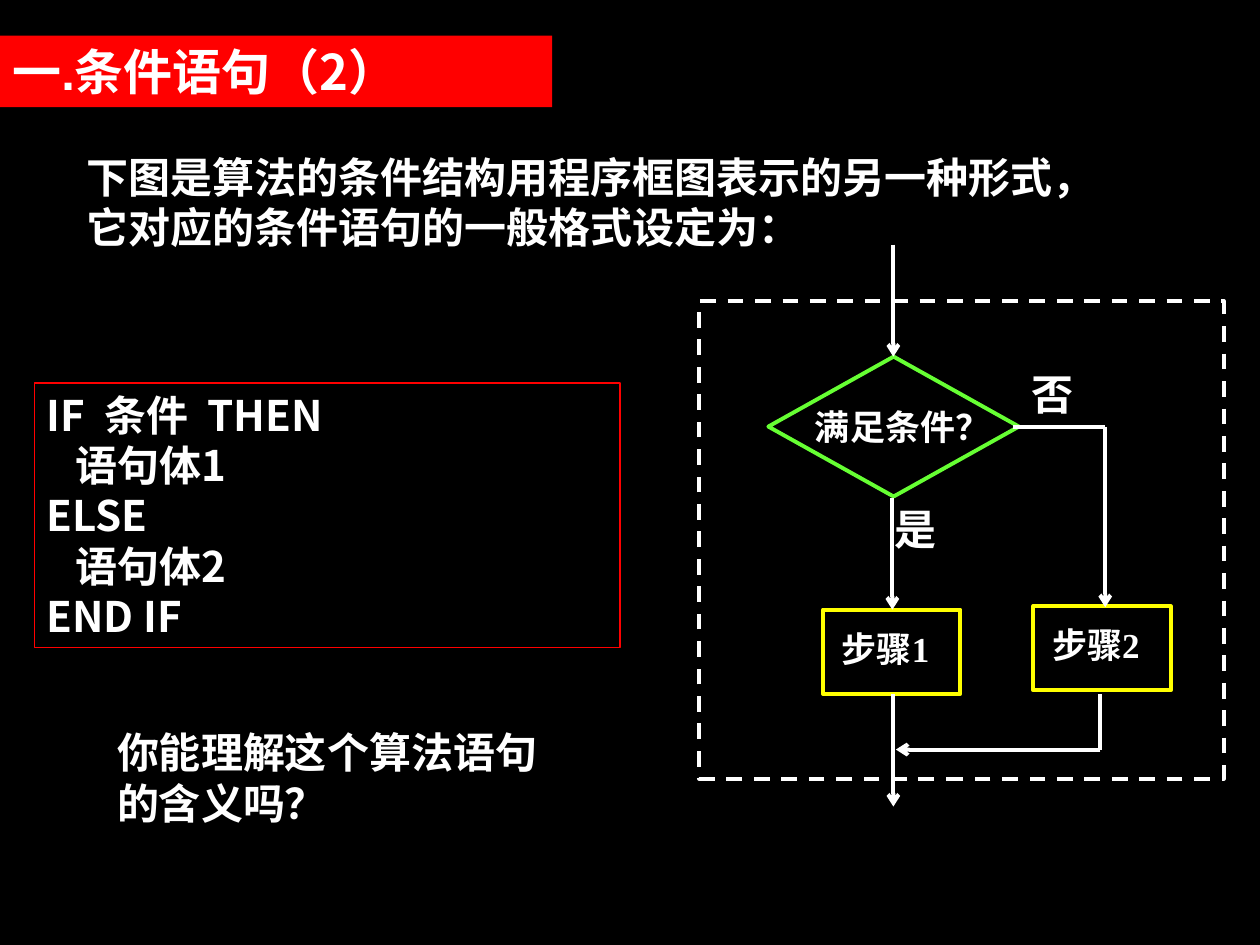
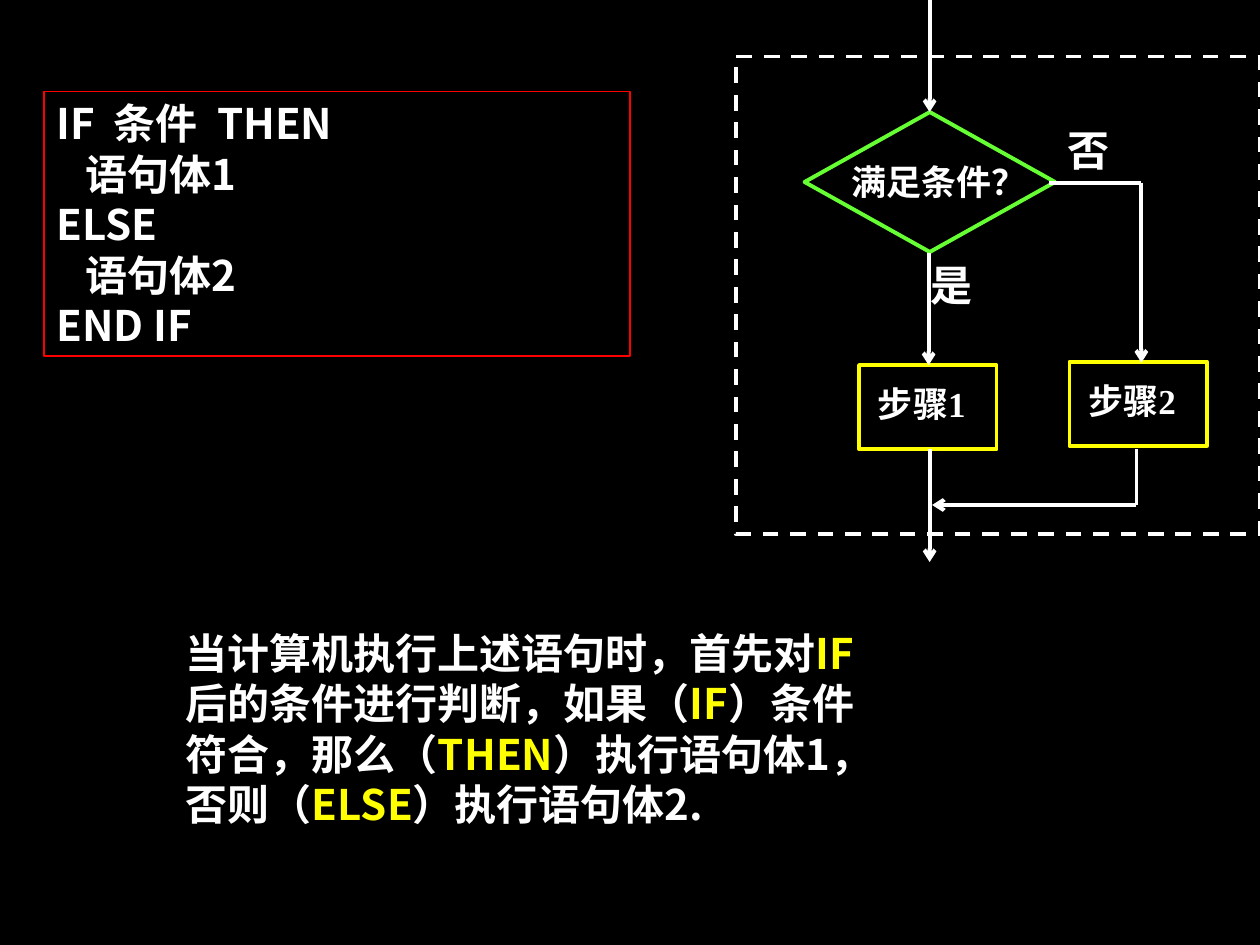
"""Build two slides on the IF-THEN-ELSE statement and its flowchart."""
from lxml import etree
from pptx import Presentation
from pptx.dml.color import RGBColor
from pptx.enum.dml import MSO_LINE
from pptx.enum.shapes import MSO_CONNECTOR, MSO_SHAPE
from pptx.enum.text import MSO_ANCHOR, MSO_AUTO_SIZE, PP_ALIGN
from pptx.oxml.ns import qn
from pptx.util import Cm, Pt

RECT, DIAMOND = MSO_SHAPE.RECTANGLE, MSO_SHAPE.DIAMOND
DASH, STRAIGHT = MSO_LINE.DASH, MSO_CONNECTOR.STRAIGHT
LEFT, JUSTIFY = PP_ALIGN.LEFT, PP_ALIGN.JUSTIFY
TOP = MSO_ANCHOR.TOP
GROW, FIXED = MSO_AUTO_SIZE.SHAPE_TO_FIT_TEXT, MSO_AUTO_SIZE.NONE
HUES = {"black": "000000", "white": "FFFFFF", "red": "FF0000",
        "green": "66FF33", "yellow": "FFFF00"}
SANS, LATIN, SERIF = "Noto Sans CJK SC", "Arial", "Times New Roman"
CODE = ["IF  条件  THEN", "   语句体1", "ELSE", "   语句体2", "END IF"]


def tint(name):
    return RGBColor.from_string(HUES[name])


def put(para, words, size=24, font=SANS, hue="white"):
    run = para.add_run()
    run.text = words
    run.font.size, run.font.bold, run.font.name = Pt(size), True, font
    run.font.color.rgb = tint(hue)
    east = etree.SubElement(run.font._element, qn("a:ea"))
    east.set("typeface", SANS)


class Deck:
    def __init__(self):
        self.show = Presentation()
        self.show.slide_width, self.show.slide_height = Cm(25.4), Cm(19.05)
        self.slide = None

    def page(self):
        self.slide = self.show.slides.add_slide(self.show.slide_layouts[6])
        self.slide.background.fill.solid()
        self.slide.background.fill.fore_color.rgb = tint("black")

    def label(self, shape, lines, align=LEFT, fit=GROW, accent=None, **form):
        frame = shape.text_frame
        frame.word_wrap, frame.auto_size = True, fit
        frame.vertical_anchor = TOP
        for i, line in enumerate(lines):
            para = frame.add_paragraph() if i else frame.paragraphs[0]
            para.alignment = align
            for j, part in enumerate(line.split("|")):
                put(para, part, **{**form, **(accent or {} if j % 2 else {})})

    def shape(self, kind, box, edge=None, fill=None, width=2.25, dash=None):
        item = self.slide.shapes.add_shape(kind, *map(Cm, box))
        item.shadow.inherit = False
        if fill:
            item.fill.solid()
            item.fill.fore_color.rgb = tint(fill)
        else:
            item.fill.background()
        if edge:
            item.line.color.rgb = tint(edge)
            item.line.width = Pt(width)
            item.line.dash_style = dash
        else:
            item.line.fill.background()
        return item

    def text(self, box, lines, **form):
        self.label(self.slide.shapes.add_textbox(*map(Cm, box)), lines, **form)

    def line(self, ends, arrow=True):
        item = self.slide.shapes.add_connector(STRAIGHT, *map(Cm, ends))
        item.line.color.rgb = tint("white")
        item.line.width = Pt(2.25)
        props = item._element.spPr
        if arrow:
            tip = etree.SubElement(props.find(qn("a:ln")), qn("a:tailEnd"))
            tip.set("type", "arrow")
        etree.SubElement(props, qn("a:effectLst"))

    def code(self, x, y):
        box = self.shape(RECT, (x, y, 11.81, 5.33), edge="red", width=0.75)
        self.label(box, CODE)

    def chart(self, x, y):
        self.shape(DIAMOND, (x + 1.39, y + 1.12, 5.05, 2.82), edge="green")
        labels = [("满足条件？", 2.08, 1.98, 4.8, 20),
                  ("是", 3.68, 3.96, 1.37, 24), ("否", 6.45, 1.24, 1.37, 24)]
        for name, left, top in (("步骤1", 2.49, 6.22), ("步骤2", 6.73, 6.15)):
            self.shape(RECT, (x + left, y + top, 2.77, 1.7), edge="yellow")
            labels.append((name, left + 0.13, top + 0.23, 2.77, 20))
        for words, left, top, wide, size in labels:
            self.text((x + left, y + top, wide, 1.7), [words], align=JUSTIFY,
                      fit=FIXED, size=size, font=SERIF)
        for x1, y1, x2, y2, arrow in (
                (3.91, -1.14, 3.91, 1.12, True),
                (3.89, 3.96, 3.89, 6.22, True),
                (8.18, 2.54, 8.18, 6.17, True),
                (3.91, 7.92, 3.91, 10.19, True),
                (8.08, 9.04, 3.96, 9.04, True),
                (8.08, 9.04, 8.08, 7.92, False),
                (8.18, 2.54, 6.32, 2.54, False)):
            self.line((x + x1, y + y1, x + x2, y + y2), arrow)
        self.shape(RECT, (x, y, 10.57, 9.63), edge="white", dash=DASH)


def main():
    deck = Deck()
    deck.page()
    title = deck.shape(RECT, (0, 0.72, 11.13, 1.44), fill="red")
    deck.label(title, ["一.条件语句|（2）"], size=28, font=LATIN,
               accent={"font": SANS})
    deck.text((1.5, 2.92, 20.6, 2.29),
              ["下图是算法的条件结构用程序框图表示的另一种形式，"
               "它对应的条件语句的一般格式设定为："])
    deck.chart(14.1, 6.07)
    deck.code(0.69, 7.72)
    deck.text((2.11, 14.53, 9.19, 2.29),
              ["你能理解这个算法语句的含义吗？"], font=LATIN)

    deck.page()
    deck.chart(14.83, 1.14)
    deck.code(0.89, 1.85)
    deck.text((3.5, 12.52, 16.31, 4.32),
              ["当计算机执行上述语句时，首先对|IF",
               "后的条件进行判断，如果（|IF|）条件",
               "符合，那么（|THEN|）执行语句体1，",
               "否则（|ELSE|）执行语句体2."], accent={"hue": "yellow"})
    deck.show.save("out.pptx")


if __name__ == "__main__":
    main()
